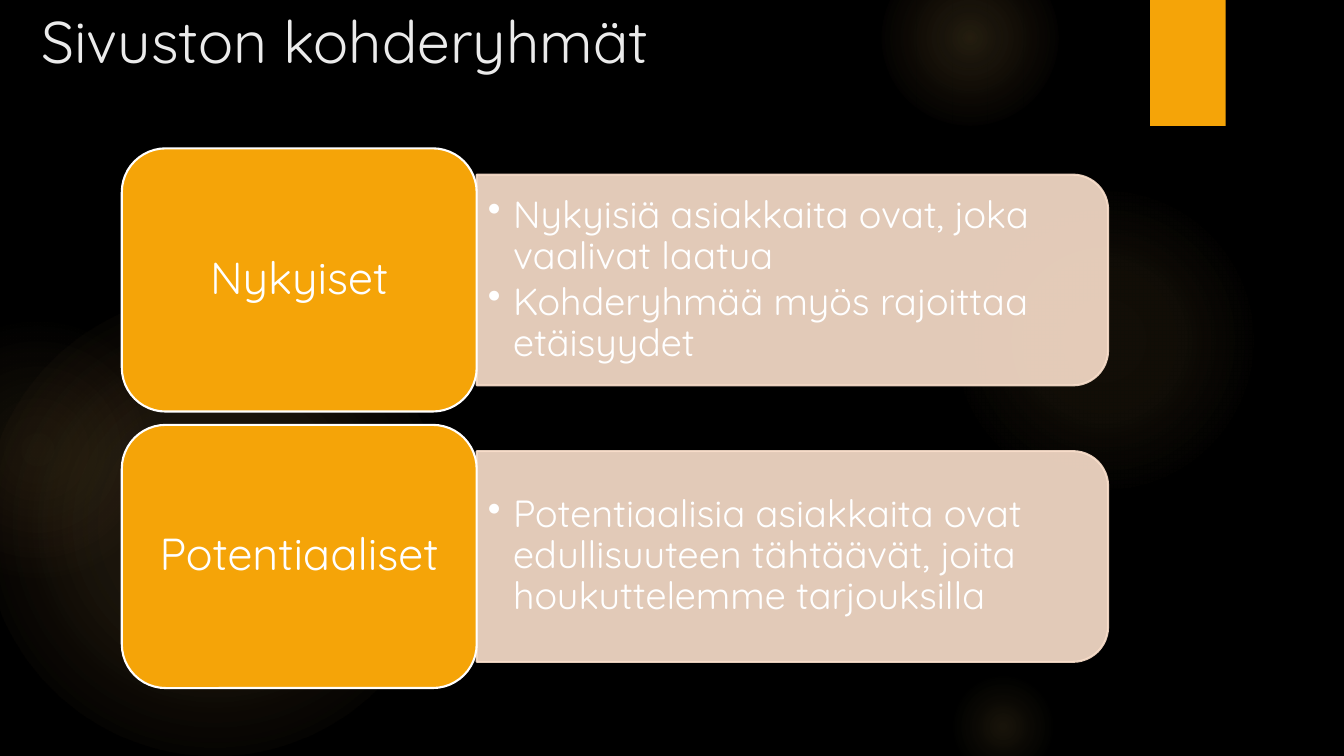
from pptx import Presentation
from pptx.dml.color import RGBColor
from pptx.enum.shapes import MSO_SHAPE
from pptx.enum.text import MSO_ANCHOR, PP_ALIGN
from pptx.oxml import parse_xml
from pptx.oxml.ns import nsdecls, qn
from pptx.util import Pt
from lxml.etree import SubElement

# Content
TITLE = "Sivuston kohderyhmät"
GROUPS = [
    ("Nykyiset", ["Nykyisiä asiakkaita ovat, joka vaalivat laatua",
                  "Kohderyhmää myös rajoittaa etäisyydet"]),
    ("Potentiaaliset", ["Potentiaalisia asiakkaita ovat edullisuuteen tähtäävät, "
                        "joita houkuttelemme tarjouksilla"]),
]

# Style
FONT = "Quicksand"
BLACK, WHITE, TITLE_GREY = "000000", "FFFFFF", "EBEBEB"
ORANGE, PEACH, GOLD, CORAL = "F5A408", "FBE0CC", "FAC96A", "F59B74"

# Glows: left, top, diameter, then (position %, colour, opacity %)
GLOWS = [
    (-12, 210, 330, [(0, GOLD, 11), (36, GOLD, 10), (75, GOLD, 0)]),
    (-66, 228, 186, [(0, GOLD, 8), (36, GOLD, 5), (71, CORAL, 0)]),
    (677.5, 132, 222, [(0, GOLD, 7), (36, GOLD, 6), (69, GOLD, 0)]),
    (630, -36, 126, [(0, GOLD, 14), (36, GOLD, 7), (73, GOLD, 0)]),
    (677.5, 480, 78, [(0, GOLD, 10), (31, GOLD, 5), (66, GOLD, 0)]),
]

# Layout
CARD_LEFT, CARD_TOP, CARD_WIDTH, CARD_HEIGHT = 87, 106, 253.5, 188
ROW_STEP = 197.5
PANEL_WIDTH, PANEL_HEIGHT = 451, 150.5
BODY_WIDTH, BODY_HEIGHT = 443.5, 136


def rgb(value):
    return RGBColor.from_string(value)


def add_shape(kind, left, top, width, height, fill=None, line=None):
    shape = page.shapes.add_shape(kind, Pt(left), Pt(top), Pt(width), Pt(height))
    shape.shadow.inherit = False
    if fill:
        shape.fill.solid()
        shape.fill.fore_color.rgb = rgb(fill)
    else:
        shape.fill.background()
    if line:
        shape.line.color.rgb = rgb(line)
        shape.line.width = Pt(1.5)
    else:
        shape.line.fill.background()
    return shape


def add_glow(left, top, size, stops):
    glow = add_shape(MSO_SHAPE.OVAL, left, top, size, size)
    stop_xml = "".join(
        f'<a:gs pos="{position * 1000}"><a:srgbClr val="{colour}">'
        f'<a:alpha val="{opacity * 1000}"/></a:srgbClr></a:gs>'
        for position, colour, opacity in stops)
    gradient = parse_xml(
        f'<a:gradFill {nsdecls("a")}><a:gsLst>{stop_xml}</a:gsLst><a:path path="circle">'
        '<a:fillToRect l="50000" t="50000" r="50000" b="50000"/></a:path></a:gradFill>')
    properties = glow._element.spPr
    properties.replace(properties.find(qn("a:noFill")), gradient)


def set_opacity(shape, percent):
    for colour in shape._element.spPr.iter(qn("a:srgbClr")):
        SubElement(colour, qn("a:alpha")).set("val", str(percent * 1000))


def set_text(shape, lines, size, colour, anchor, align=PP_ALIGN.LEFT,
             inset=(7.2, 3.6), spacing=1.0, after=0, bullet=False):
    frame = shape.text_frame
    frame.word_wrap = True
    frame.vertical_anchor = anchor
    frame.margin_left = frame.margin_right = Pt(inset[0])
    frame.margin_top = frame.margin_bottom = Pt(inset[1])
    frame.text = "\n".join(lines)
    for para in frame.paragraphs:
        para.alignment = align
        para.line_spacing = spacing
        para.space_after = Pt(after)
        if bullet:
            properties = para._p.get_or_add_pPr()
            properties.set("marL", str(Pt(18)))
            properties.set("indent", str(Pt(-18)))
            SubElement(properties, qn("a:buChar")).set("char", "•")
        for span in para.runs:
            span.font.name = FONT
            span.font.size = Pt(size)
            span.font.color.rgb = rgb(colour)


def add_text(left, top, width, height, *args, **style):
    box = page.shapes.add_textbox(Pt(left), Pt(top), Pt(width), Pt(height))
    set_text(box, *args, **style)


deck = Presentation()
deck.slide_width, deck.slide_height = Pt(960), Pt(540)
page = deck.slides.add_slide(deck.slide_layouts[6])

# Background with glows and the corner tab
page.background.fill.solid()
page.background.fill.fore_color.rgb = rgb(BLACK)
for glow_spec in GLOWS:
    add_glow(*glow_spec)
add_shape(MSO_SHAPE.RECTANGLE, 821.5, 0, 54, 90, ORANGE)

# Title
add_text(22.3, 0, 741, 110, [TITLE], 42, TITLE_GREY, MSO_ANCHOR.TOP)

# One row per target group: panel, bullets, card
panel_left = CARD_LEFT + CARD_WIDTH
for row, (name, points) in enumerate(GROUPS):
    top = CARD_TOP + row * ROW_STEP
    middle = top + CARD_HEIGHT / 2

    # The panel stands upright and is turned so its round corners face right
    panel = add_shape(MSO_SHAPE.ROUND_2_SAME_RECTANGLE,
                      panel_left + (PANEL_WIDTH - PANEL_HEIGHT) / 2,
                      middle - PANEL_WIDTH / 2,
                      PANEL_HEIGHT, PANEL_WIDTH, PEACH, PEACH)
    panel.rotation = 90
    set_opacity(panel, 90)
    add_text(panel_left, middle - BODY_HEIGHT / 2, BODY_WIDTH, BODY_HEIGHT,
             points, 27, WHITE, MSO_ANCHOR.MIDDLE, inset=(8, 4),
             spacing=0.9, after=4, bullet=True)

    card = add_shape(MSO_SHAPE.ROUNDED_RECTANGLE, CARD_LEFT, top,
                     CARD_WIDTH, CARD_HEIGHT, ORANGE, WHITE)
    set_text(card, [name], 32, WHITE, MSO_ANCHOR.MIDDLE, PP_ALIGN.CENTER,
             inset=(9, 5), spacing=0.9)

deck.save("out.pptx")
